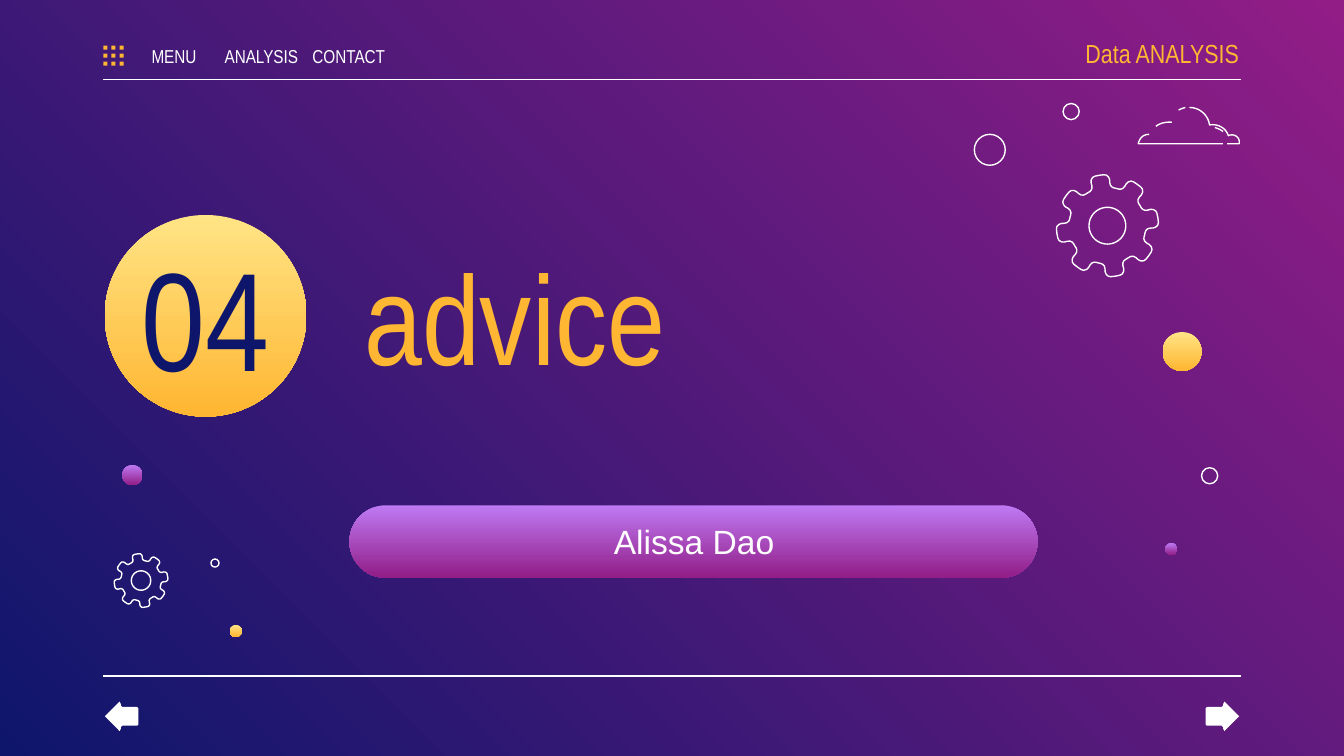
import math

import lxml.etree
import pptx
import pptx.dml.color
import pptx.enum.shapes
import pptx.enum.text
import pptx.oxml.ns
import pptx.util

Inches, Pt = pptx.util.Inches, pptx.util.Pt
RGB = pptx.dml.color.RGBColor.from_string
SHAPE = pptx.enum.shapes.MSO_SHAPE
ALIGN = pptx.enum.text.PP_ALIGN

THEME = {
    "white": "FFFFFF", "gold": "FFB632", "navy": "0E166C",
    "backdrop": ("921D87", "0E166C"),
    "sun": ("FFE485", "FFB632"),
    "violet": ("BE7AF3", "921D87"),
    "narrow": "Arial Narrow", "plain": "Arial",
    "title": 68, "number": 75, "name": 18, "brand": 14, "menu": 10,
    "stroke": 0.75,
}


def style(sp, fill=None, line=None):
    """Fill with a colour, a pair of colours (top to bottom) or nothing."""
    sp.shadow.inherit = False
    if fill is None:
        sp.fill.background()
    elif isinstance(fill, tuple):
        sp.fill.gradient()
        sp.fill.gradient_angle = 270
        for stop, color in zip(sp.fill.gradient_stops, fill):
            stop.color.rgb = RGB(color)
    else:
        sp.fill.solid()
        sp.fill.fore_color.rgb = RGB(fill)
    if line is None:
        sp.line.fill.background()
    else:
        sp.line.color.rgb = RGB(line)
        sp.line.width = Pt(THEME["stroke"])


def write(sp, box, text, size, color, align, font="narrow", insets=(0.1, 0.1)):
    sp.left, sp.top, sp.width, sp.height = map(Inches, box)
    tf = sp.text_frame
    tf.word_wrap = True
    tf.auto_size = pptx.enum.text.MSO_AUTO_SIZE.NONE
    tf.vertical_anchor = pptx.enum.text.MSO_ANCHOR.MIDDLE
    tf.margin_left, tf.margin_right = map(Inches, insets)
    tf.margin_top = tf.margin_bottom = Inches(0.1)
    p = tf.paragraphs[0]
    p.text = text
    p.alignment = align
    p.space_before = Pt(0)
    p.font.name = THEME[font]
    p.font.size = Pt(THEME[size])
    p.font.color.rgb = RGB(THEME[color])


prs = pptx.Presentation()
prs.slide_width = Inches(10)
prs.slide_height = prs.slide_width * 9 // 16
s = prs.slides.add_slide(prs.slide_layouts[0])
title, subtitle = s.placeholders

# Background runs from the top right to the bottom left
bg = s.background.fill
bg.gradient()
bg.gradient_angle = 225
for stop, color in zip(bg.gradient_stops, THEME["backdrop"]):
    stop.color.rgb = RGB(color)

# Header and footer rules
for y in (0.59, 5.03):
    rule = s.shapes.add_connector(
        pptx.enum.shapes.MSO_CONNECTOR.STRAIGHT,
        Inches(0.77), Inches(y), Inches(9.23), Inches(y))
    rule.line.color.rgb = RGB(THEME["white"])
    rule.line.width = Pt(THEME["stroke"])
    lxml.etree.SubElement(rule.element.spPr, pptx.oxml.ns.qn("a:effectLst"))

# Name pill
pill = s.shapes.add_shape(SHAPE.ROUNDED_RECTANGLE, Inches(2.6), Inches(3.76),
                          Inches(5.12), Inches(0.54))
pill.adjustments[0] = 0.5
style(pill, THEME["violet"])

# Circles: left, top, diameter, fill (None gives a ring)
circles = [
    (0.78, 1.6, 1.5, "sun"), (8.65, 2.47, 0.29, "sun"), (1.71, 4.65, 0.09, "sun"),
    (0.91, 3.46, 0.15, "violet"), (8.67, 4.04, 0.09, "violet"),
    (7.91, 0.77, 0.12, None), (8.94, 3.48, 0.12, None),
    (7.25, 1, 0.23, None), (1.57, 4.16, 0.06, None),
]
for x, y, d, fill in circles:
    sp = s.shapes.add_shape(SHAPE.OVAL, Inches(x), Inches(y), Inches(d), Inches(d))
    if fill:
        style(sp, THEME[fill])
    else:
        style(sp, line=THEME["white"])

# Outlines: parent shapes, contours, closed, fill, line
outlines = []

# Gears: eight equal teeth; half a tooth as (degrees from its middle, radius)
half_tooth = [(0, 1), (5, 1), (8, 0.99), (10.5, 0.95), (11.8, 0.9), (12.2, 0.84),
              (13.5, 0.79), (16, 0.76), (19, 0.75), (22.5, 0.75)]
tooth = [(-a, r) for a, r in half_tooth[-2:0:-1]] + half_tooth
for cx, cy, radius in ((8.24, 1.68, 0.38), (1.05, 4.32, 0.2)):
    rim = [(n * 45 - 99 + a, r) for n in range(8) for a, r in tooth]
    hole = [(a, 0.36) for a in range(0, 360, 6)]
    contours = [[(cx + radius * r * math.cos(math.radians(a)),
                  cy + radius * r * math.sin(math.radians(a))) for a, r in ring]
                for ring in (rim, hole)]
    outlines.append((s.shapes, contours, True, None, THEME["white"]))

# Cloud strokes: a start, then Bezier curves (three points) or lines (one)
cloud = s.shapes.add_group_shape().shapes
strokes = [
    [(8.85, 0.8), [(8.93, 0.8), (8.99, 0.86), (9, 0.93)],
     [(9.06, 0.92), (9.12, 0.95), (9.14, 1.01)],
     [(9.18, 0.99), (9.23, 1.02), (9.22, 1.07)], [(9.13, 1.07)]],
    [(8.82, 0.8), [(8.82, 0.8), (8.78, 0.81), (8.77, 0.82)]],
    [(9.1, 1.07), [(8.47, 1.07)], [(8.47, 1.07), (8.48, 1), (8.55, 1)]],
    [(9.04, 0.95), [(9.04, 0.95), (9.08, 0.96), (9.1, 0.98)]],
    [(8.72, 0.91), [(8.72, 0.91), (8.65, 0.9), (8.6, 0.94)]],
]
for start, *segments in strokes:
    points = [start]
    for segment in segments:
        if len(segment) == 1:
            points += segment
            continue
        corners = [points[-1]] + segment
        for t in (n / 10 for n in range(1, 11)):
            weights = [math.comb(3, k) * t**k * (1 - t)**(3 - k) for k in range(4)]
            points.append(tuple(sum(w * c[axis] for w, c in zip(weights, corners))
                                for axis in (0, 1)))
    outlines.append((cloud, [points], False, None, THEME["white"]))

# Next arrow, and its mirror image as the back arrow
arrow = [(9.12, 5.43), (9.21, 5.34), (9.22, 5.33), (9.21, 5.32), (9.12, 5.23),
         (9.11, 5.22), (9.1, 5.24), (9.1, 5.25), (9.09, 5.26), (8.98, 5.26),
         (8.97, 5.27), (8.97, 5.39), (8.98, 5.4), (9.09, 5.4), (9.1, 5.41),
         (9.1, 5.42), (9.11, 5.44)]
for points in (arrow, [(10 - x, y) for x, y in arrow]):
    outlines.append((s.shapes, [points], True, THEME["white"], None))

for parent, contours, closed, fill, line in outlines:
    builder = None
    for points in contours:
        first, *rest = [(Inches(x), Inches(y)) for x, y in points]
        if builder is None:
            builder = parent.build_freeform(*first)
        else:
            builder.move_to(*first)
        builder.add_line_segments(rest, close=closed)
    style(builder.convert_to_shape(), fill, line)

# Menu grid icon
grid = s.shapes.add_group_shape().shapes
for col in range(3):
    for row in range(3):
        dot = grid.add_shape(SHAPE.RECTANGLE, Inches(0.77 + 0.06 * col),
                             Inches(0.34 + 0.06 * row), Inches(0.03), Inches(0.03))
        style(dot, THEME["gold"])

# Text, with the placeholders brought in front of the shapes
for ph in (title, subtitle):
    s.shapes.element.append(ph.element)
write(title, (2.61, 1.39, 4.86, 1.9), "advice", "title", "gold", ALIGN.LEFT)
write(subtitle, (2.66, 3.86, 5.01, 0.33), "Alissa Dao", "name", "white",
      ALIGN.CENTER, font="plain")

labels = [
    ((0.78, 1.93, 1.5, 0.83), "04", "number", "navy", ALIGN.CENTER, (0.1, 0.1)),
    ((7.72, 0.23, 1.5, 0.33), "Data ANALYSIS", "brand", "gold", ALIGN.RIGHT, (0.1, 0)),
]
for n, text in enumerate(("MENU", "ANALYSIS", "CONTACT")):
    labels.append(((1.01 + 0.65 * n, 0.3, 0.57, 0.23), text, "menu", "white",
                   ALIGN.CENTER, (0, 0)))
for box, text, size, color, align, insets in labels:
    write(s.shapes.add_textbox(0, 0, 0, 0), box, text, size, color, align, insets=insets)

prs.save("out.pptx")
